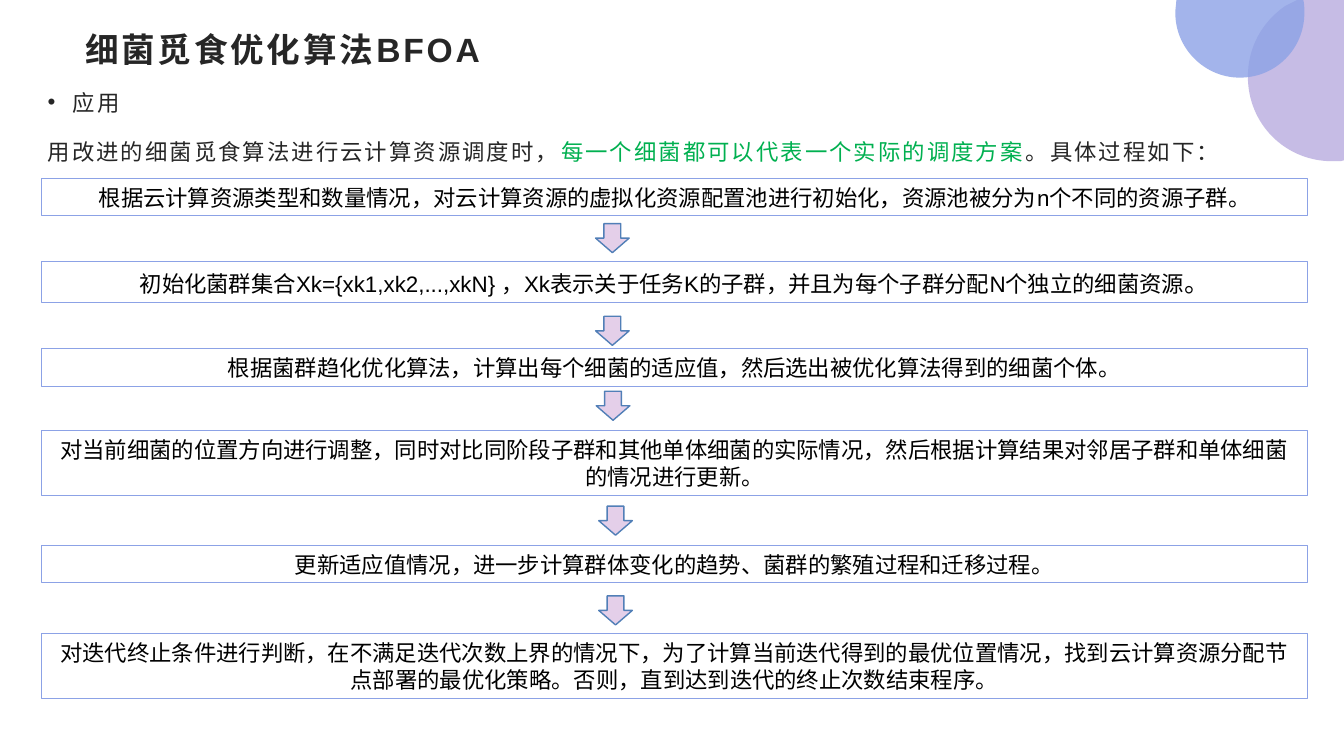
from lxml.etree import SubElement
from pptx import Presentation
from pptx.dml.color import RGBColor
from pptx.enum.shapes import MSO_SHAPE
from pptx.enum.text import MSO_ANCHOR, MSO_AUTO_SIZE, PP_ALIGN
from pptx.oxml.ns import qn
from pptx.util import Inches, Pt

INK = RGBColor(0x26, 0x26, 0x26)
BLACK = RGBColor(0x00, 0x00, 0x00)
GREEN = RGBColor(0x00, 0xB0, 0x50)
BLUE = RGBColor(0x8C, 0xA2, 0xE6)
PURPLE = RGBColor(0xA5, 0x95, 0xD7)
PINK = RGBColor(0xE4, 0xCF, 0xE9)
STEEL = RGBColor(0x51, 0x7F, 0xB7)

COLS, ROWS = 160, 90
BOX_LEFT, BOX_WIDTH = 4.96, 150.72
ONE_LINE, TWO_LINES = 4.48, 7.72

PURPLE_LINES = [(154.44, 0), (160, 0), (160, 19.08), (159.6, 19.2)]
PURPLE_CURVES = [(159.36, 19.2), (159, 19.2), (158.64, 19.2),
                 (153, 19.2), (148.56, 14.76), (148.56, 9.12),
                 (148.56, 5.64), (150.24, 2.64), (153, 0.72)]
BLUE_LINES = [(140.16, -0.12), (155.16, -0.12), (155.16, 0)]
BLUE_CURVES = [(155.28, 0.48), (155.28, 0.96), (155.28, 1.56),
               (155.28, 5.76), (151.92, 9.24), (147.6, 9.24),
               (143.4, 9.24), (139.92, 5.76), (139.92, 1.56),
               (139.92, 0.96), (140.04, 0.48), (140.04, 0)]

STEPS = [
    (21.24, ONE_LINE, [("根据云计算资源类型和数量情况，对云计算资源的虚拟化资源配置池进行初始化，资源池被分为n个不同的资源子群。", 16)]),
    (31.14, 4.85, [("初始化菌群集合Xk={xk1,xk2,...,xkN} ，Xk表示关于任务K的子群，并且为每个子群分配N个独立的细菌资源", 16), ("。", 18)]),
    (41.52, ONE_LINE, [("根据菌群趋化优化算法，计算出每个细菌的适应值，然后选出被优化算法得到的细菌个体。", 16)]),
    (51.3, TWO_LINES, [("对当前细菌的位置方向进行调整，同时对比同阶段子群和其他单体细菌的实际情况，然后根据计算结果对邻居子群和单体细菌的情况进行更新。", 16)]),
    (64.92, ONE_LINE, [("更新适应值情况，进一步计算群体变化的趋势、菌群的繁殖过程和迁移过程。", 16)]),
    (75.42, TWO_LINES, [("对迭代终止条件进行判断，在不满足迭代次数上界的情况下，为了计算当前迭代得到的最优位置情况，找到云计算资源分配节点部署的最优化策略。否则，直到达到迭代的终止次数结束程序。", 16)]),
]
ARROWS = [(70.9, 26.62), (70.9, 37.66), (71.28, 60.26), (70.98, 46.58), (71.28, 70.94)]


def apply(target, values):
    for name, value in values.items():
        setattr(target, name, value)


class Deck:
    font = "Arial"

    def __init__(self):
        self.prs = Presentation()
        apply(self.prs, {"slide_width": Inches(13.333), "slide_height": Inches(7.5)})
        self.s = self.prs.slides.add_slide(self.prs.slide_layouts[1])
        self.corner = self.s.shapes.add_group_shape()
        self.s.shapes.title._element.addprevious(self.corner._element)

    def x(self, cols):
        return round(self.prs.slide_width * cols / COLS)

    def y(self, rows):
        return round(self.prs.slide_height * rows / ROWS)

    def area(self, left, top, width, height):
        return self.x(left), self.y(top), self.x(width), self.y(height)

    def run(self, p, text, size, color, bold=False, spacing=0):
        r = p.add_run()
        r.text = text
        apply(r.font, {"name": self.font, "size": Pt(size), "bold": bold})
        r.font.color.rgb = color
        rPr = r.font._element
        rPr.set("spc", str(round(spacing * 100)))
        SubElement(rPr, qn("a:ea")).set("typeface", self.font)

    def placeholder(self, sp, area, insets, anchor):
        apply(sp, dict(zip(("left", "top", "width", "height"), self.area(*area))))
        tf = sp.text_frame
        sides = ("margin_left", "margin_top", "margin_right", "margin_bottom")
        apply(tf, dict(zip(sides, map(Inches, insets))))
        apply(tf, {"word_wrap": True, "auto_size": MSO_AUTO_SIZE.NONE, "vertical_anchor": anchor})
        return tf

    def title(self, text):
        tf = self.placeholder(self.s.shapes.title, (8.8, 3, 142.44, 5.76),
                              (0.11, 0.04, 0.08, 0.04), MSO_ANCHOR.MIDDLE)
        p = tf.paragraphs[0]
        p.alignment = PP_ALIGN.LEFT
        self.run(p, text, 24, INK, True, 2)

    def body(self, paragraphs):
        tf = self.placeholder(self.s.placeholders[1], (4.36, 9.6, 150.72, 70.68),
                              (0.11, 0, 0.09, 0), MSO_ANCHOR.TOP)
        for i, (bullet, runs) in enumerate(paragraphs):
            p = tf.add_paragraph() if i else tf.paragraphs[0]
            apply(p, {"line_spacing": 1.3, "space_before": Pt(0), "space_after": Pt(10)})
            pPr = p._p.get_or_add_pPr()
            indent = Inches(0.25) if bullet else 0
            pPr.set("marL", str(indent))
            pPr.set("indent", str(-indent))
            if bullet:
                SubElement(pPr, qn("a:buFont")).set("typeface", self.font)
                SubElement(pPr, qn("a:buChar")).set("char", bullet)
            else:
                SubElement(pPr, qn("a:buNone"))
            for text, color in runs:
                self.run(p, text, 16, color, spacing=1.5)

    def shape(self, kind, area, line, width, fill=None):
        sp = self.s.shapes.add_shape(kind, *self.area(*area))
        sp.shadow.inherit = False
        if fill is None:
            sp.fill.background()
        else:
            sp.fill.solid()
            sp.fill.fore_color.rgb = fill
        sp.line.color.rgb = line
        sp.line.width = Pt(width)
        return sp

    def step(self, top, height, runs):
        sp = self.shape(MSO_SHAPE.RECTANGLE, (BOX_LEFT, top, BOX_WIDTH, height), BLUE, 0.75)
        tf = sp.text_frame
        apply(tf, {"word_wrap": True, "auto_size": MSO_AUTO_SIZE.SHAPE_TO_FIT_TEXT,
                   "vertical_anchor": MSO_ANCHOR.MIDDLE})
        p = tf.paragraphs[0]
        p.alignment = PP_ALIGN.CENTER
        for text, size in runs:
            self.run(p, text, size, BLACK)

    def arrow(self, left, top):
        self.shape(MSO_SHAPE.DOWN_ARROW, (left, top, 4, 3.46), STEEL, 1, PINK)

    def corner_disc(self, lines, curves, color, opacity):
        points = [(self.x(col), self.y(row)) for col, row in lines + curves]
        builder = self.corner.shapes.build_freeform(*points[0])
        builder.add_line_segments(points[1:], close=True)
        sp = builder.convert_to_shape()
        outline = next(sp._element.iter(qn("a:path")))
        segments = outline.findall(qn("a:lnTo"))[len(lines) - 1:len(points) - 1]
        close = outline.find(qn("a:close"))
        for extra in outline.findall(qn("a:lnTo"))[len(points) - 1:]:
            outline.remove(extra)
        for i in range(0, len(segments), 3):
            curve = SubElement(outline, qn("a:cubicBezTo"))
            for segment in segments[i:i + 3]:
                curve.append(segment[0])
                outline.remove(segment)
        outline.append(close)
        sp.shadow.inherit = False
        sp.fill.solid()
        sp.fill.fore_color.rgb = color
        sp.line.fill.background()
        clr = sp._element.spPr.find(qn("a:solidFill"))[0]
        SubElement(clr, qn("a:alpha")).set("val", str(opacity * 1000))


def main():
    deck = Deck()
    deck.corner_disc(PURPLE_LINES, PURPLE_CURVES, PURPLE, 63)
    deck.corner_disc(BLUE_LINES, BLUE_CURVES, BLUE, 80)
    deck.title("细菌觅食优化算法BFOA")
    deck.body([
        ("•", [("应用", INK)]),
        (None, [("用改进的细菌觅食算法进行云计算资源调度时，", INK),
                ("每一个细菌都可以代表一个实际的调度方案", GREEN),
                ("。具体过程如下：", INK)]),
    ])
    for step in STEPS:
        deck.step(*step)
    for arrow in ARROWS:
        deck.arrow(*arrow)
    deck.prs.save("out.pptx")


if __name__ == "__main__":
    main()
